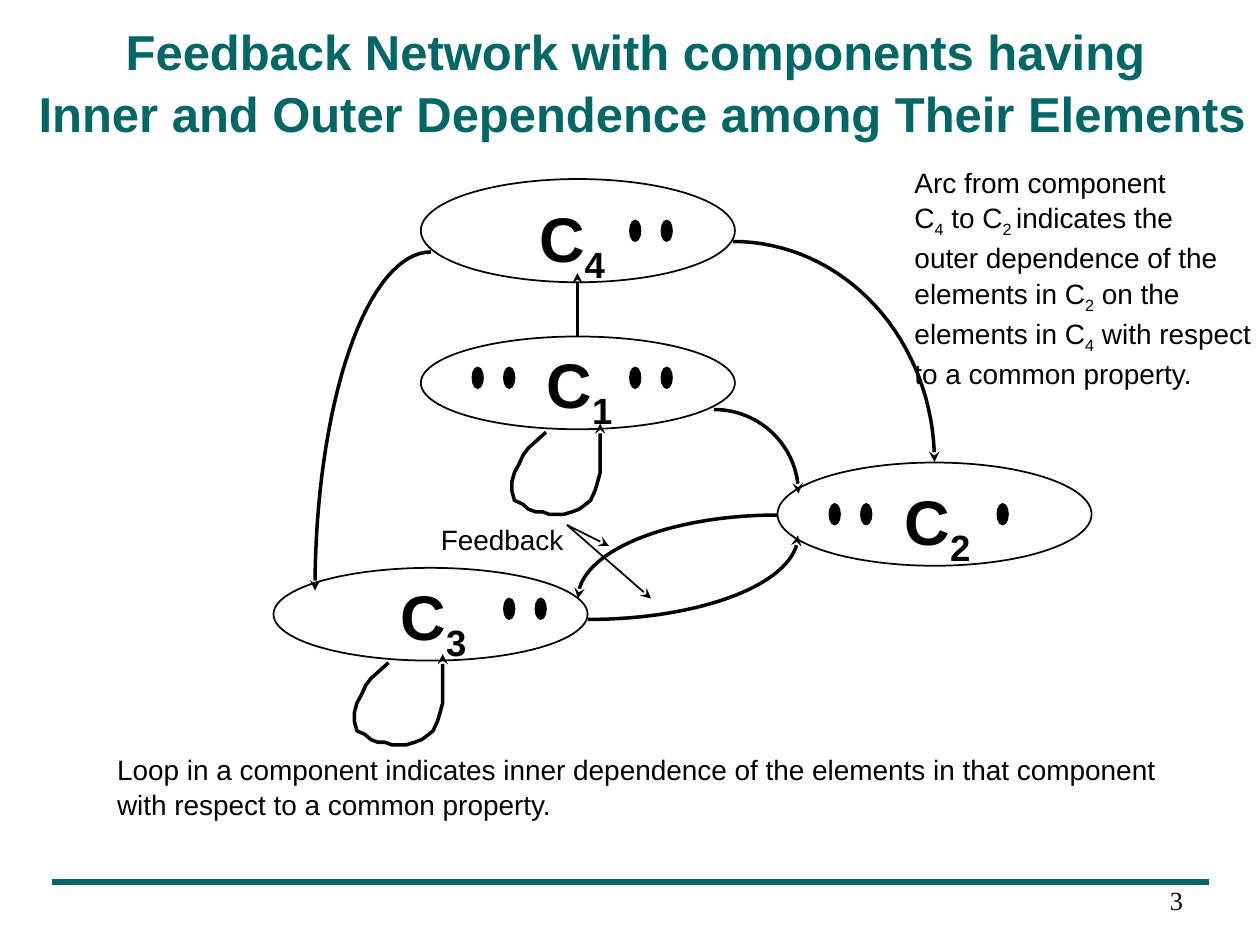
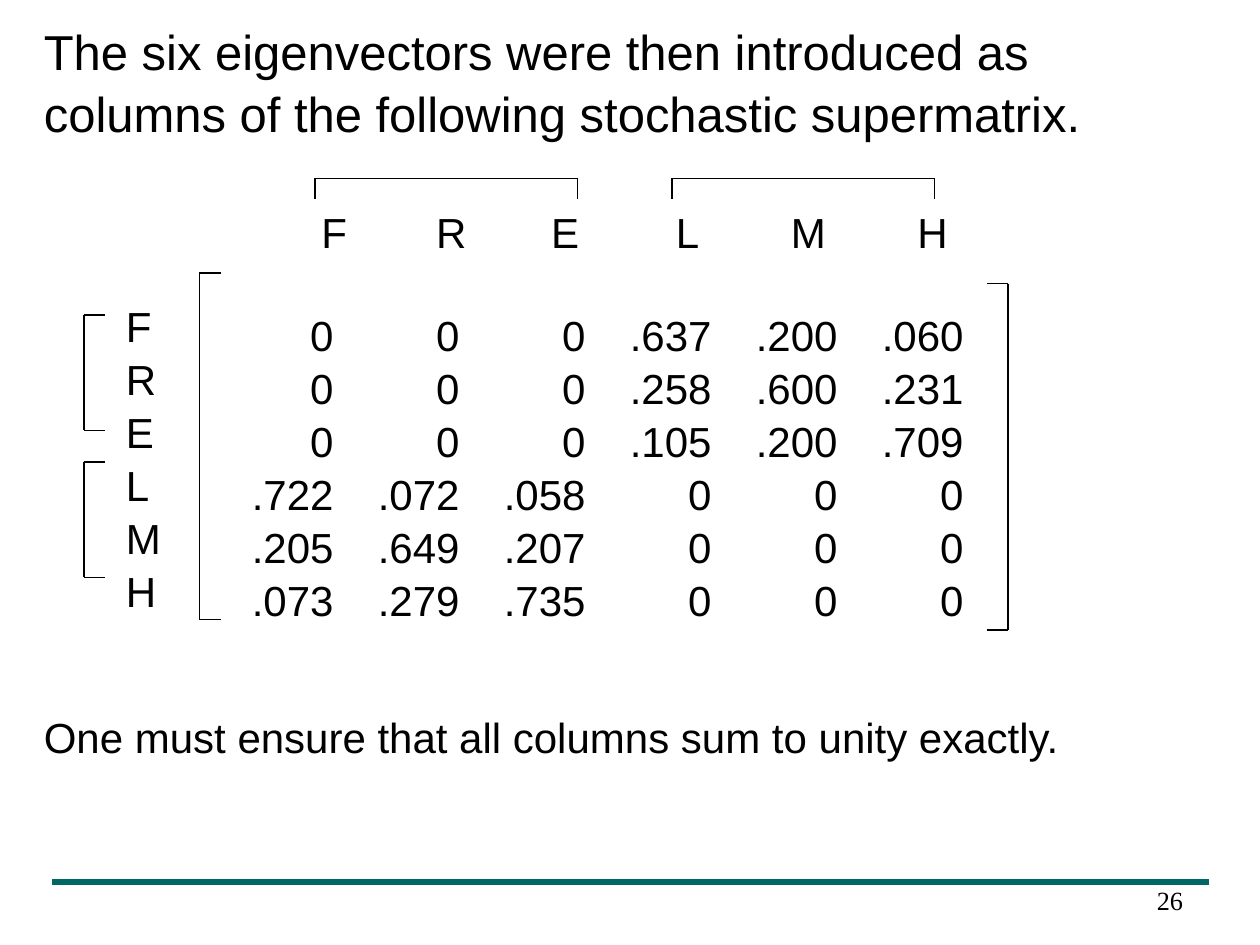
import math
from dataclasses import dataclass
from lxml import etree
from pptx import Presentation
from pptx.dml.color import RGBColor
from pptx.enum import shapes, text
from pptx.oxml import ns
from pptx.util import Pt


@dataclass(frozen=True)
class Theme:
    teal: RGBColor = RGBColor(0x00, 0x66, 0x66)
    black: RGBColor = RGBColor(0x00, 0x00, 0x00)
    font: str = "Arial"
    number_font: str = "Times New Roman"
    title: int = 28
    component: int = 36
    matrix: int = 24
    note: int = 16
    number: int = 15
    leading: float = 1.05
    thin: int = 1
    thick: int = 2
    rule: int = 4


theme = Theme()


def style_line(item, width, color=theme.black, arrow=False):
    item.line.color.rgb = color
    item.line.width = Pt(width)
    properties = item._element.spPr
    if arrow:
        outline = properties.find(ns.qn("a:ln"))
        etree.SubElement(outline, ns.qn("a:tailEnd"), type="stealth")
    etree.SubElement(properties, ns.qn("a:effectLst"))


def write_text(page, frame, lines, size, color=theme.black, font=theme.font,
               bold=False, wrap=False, align=text.PP_ALIGN.LEFT):
    box = page.shapes.add_textbox(*map(Pt, frame))
    box.text_frame.word_wrap = wrap
    for index, line in enumerate(lines):
        para = box.text_frame.paragraphs[0] if index == 0 else box.text_frame.add_paragraph()
        para.alignment = align
        para.line_spacing = theme.leading
        for position, piece in enumerate(line.split("|")):
            if not piece:
                continue
            span = para.add_run()
            span.text = piece
            span.font.name = font
            span.font.size = Pt(size)
            span.font.bold = bold
            span.font.color.rgb = color
            if position % 2:
                span._r.get_or_add_rPr().set("baseline", "-25000")
    return box


deck = Presentation()
deck.slide_width, deck.slide_height = Pt(720), Pt(540)

pages = []
for number in ("3", "26"):
    page = deck.slides.add_slide(deck.slide_layouts[6])
    rule = page.shapes.add_connector(
        shapes.MSO_CONNECTOR.STRAIGHT, Pt(30), Pt(504), Pt(691), Pt(504))
    style_line(rule, theme.rule, theme.teal)
    number_box = write_text(page, (517.5, 469.5, 166.5, 70.5), [number], theme.number,
                            font=theme.number_font, wrap=True, align=text.PP_ALIGN.RIGHT)
    number_box.text_frame.vertical_anchor = text.MSO_ANCHOR.MIDDLE
    number_box.text_frame.margin_top = Pt(22)
    number_box.text_frame.margin_right = Pt(8)
    pages.append(page)
network, supermatrix = pages

write_text(network, (15, 7.2, 704, 75),
           ["Feedback Network with components having ",
            "Inner and Outer Dependence among Their Elements"],
           theme.title, theme.teal, bold=True, align=text.PP_ALIGN.CENTER)

components = [
    ("C|4", (240.5, 102.3, 179.5, 59), (301, 108), (360, 378), 126),
    ("C|1", (240.5, 192.3, 179.5, 53), (305.3, 191.5), (270, 288, 360, 378), 210),
    ("C|2", (444.3, 264.3, 179.5, 59), (509.8, 270), (474, 492, 570), 288),
    ("C|3", (156.3, 324.5, 179.5, 53), (221.8, 324), (288, 306), 342),
]
for label, outline, corner, dot_lefts, dot_top in components:
    oval = network.shapes.add_shape(shapes.MSO_SHAPE.OVAL, *map(Pt, outline))
    oval.fill.background()
    style_line(oval, theme.thin)
    write_text(network, (*corner, 52, 56), [label], theme.component, bold=True)
    for left in dot_lefts:
        dot = network.shapes.add_shape(
            shapes.MSO_SHAPE.OVAL, Pt(left), Pt(dot_top), Pt(6), Pt(11.75))
        dot.fill.solid()
        dot.fill.fore_color.rgb = theme.black
        style_line(dot, theme.thin)

loop_outline = [
    (19.5, 5), (14, 10), (9.5, 14), (6.5, 18), (4, 23.5), (1.5, 28), (0, 33.5), (0, 38.5),
    (1.5, 44), (6, 46), (9.5, 49), (13.5, 50.5), (17.5, 50.5), (21.5, 52), (29.5, 52),
    (34.5, 50.5), (38.5, 49), (42.5, 46), (45, 44), (47.5, 38.5), (49, 33.5), (50.5, 28),
    (50.5, 0),
]
curves = [[(left + x, top + y) for x, y in loop_outline]
          for left, top in ((292.5, 242), (202.5, 373.7))]

arcs = [
    ((408, 234), (456.3, 234), (456.3, 282)),
    ((419, 138), (534, 138), (534, 264)),
    ((246.3, 144), (180, 144), (180, 337.5)),
    ((444.3, 294.3), (330.3, 294.3), (330.3, 342)),
    ((336, 354), (456, 354), (456, 306)),
]
steps = 32
for start, corner, end in arcs:
    angles = [math.pi / 2 * step / steps for step in range(steps + 1)]
    curves.append([
        tuple(s + (c - s) * math.sin(angle) + (e - c) * (1 - math.cos(angle))
              for s, c, e in zip(start, corner, end))
        for angle in angles])

for curve in curves:
    points = [(Pt(x), Pt(y)) for x, y in curve]
    builder = network.shapes.build_freeform(*points[0], scale=1.0)
    builder.add_line_segments(points[1:], close=False)
    arrow = builder.convert_to_shape()
    arrow.fill.background()
    style_line(arrow, theme.thick, arrow=True)

straight_arrows = [
    ((330, 192), (330, 156), theme.thick),
    ((324, 300), (348, 312), theme.thin),
    ((324, 300), (372, 342), theme.thin),
]
for start, end, width in straight_arrows:
    arrow = network.shapes.add_connector(
        shapes.MSO_CONNECTOR.STRAIGHT, *map(Pt, start + end))
    style_line(arrow, width, arrow=True)

write_text(network, (244.8, 294, 85, 26.6), ["Feedback"], theme.note)
write_text(network, (59.8, 425.5, 608.4, 45.4),
           ["Loop in a component indicates inner dependence of the elements in that component",
            "with respect to a common property."], theme.note)
write_text(network, (515.5, 90, 206.6, 130.3),
           ["Arc from component",
            "C|4| to C|2 |indicates the",
            "outer dependence of the",
            "elements in C|2| on the",
            "elements in C|4| with respect",
            "to a common property."], theme.note)

write_text(supermatrix, (18, 7.2, 684, 75),
           ["The six eigenvectors were then introduced as columns of the following "
            "stochastic supermatrix."], theme.title, wrap=True)
write_text(supermatrix, (18, 401.8, 684, 36),
           ["One must ensure that all columns sum to unity exactly."], theme.matrix, wrap=True)

names = "FRELMH"
write_text(supermatrix, (64.8, 167, 34.6, 180), names, theme.matrix)
rows = [
    names,
    ("0", "0", "0", ".637", ".200", ".060"),
    ("0", "0", "0", ".258", ".600", ".231"),
    ("0", "0", "0", ".105", ".200", ".709"),
    (".722", ".072", ".058", "0", "0", "0"),
    (".205", ".649", ".207", "0", "0", "0"),
    (".073", ".279", ".735", "0", "0", "0"),
]
matrix = write_text(supermatrix, (136.8, 113, 421.2, 237.6),
                    ["\t" + "\t".join(row) for row in rows], theme.matrix, wrap=True)
name_stops = (47, 114, 179, 249, 318, 389)
value_stops = [46.7 + 72 * column for column in range(len(names))]
for index, para in enumerate(matrix.text_frame.paragraphs):
    stops, kind = (value_stops, "r") if index else (name_stops, "ctr")
    if index == 1:
        para.space_before = Pt(28.8)
    tab_list = etree.SubElement(para._p.get_or_add_pPr(), ns.qn("a:tabLst"))
    for stop in stops:
        etree.SubElement(tab_list, ns.qn("a:tab"), pos=str(int(Pt(stop))), algn=kind)

brackets = [
    ((114, 156), (114, 354), (12, 0)),
    ((576, 162), (576, 360), (-12, 0)),
    ((180, 102), (330, 102), (0, 12)),
    ((384, 102), (534, 102), (0, 12)),
    ((48, 180), (48, 246), (12, 0)),
    ((48, 264), (48, 330), (12, 0)),
]
for first, last, (across, down) in brackets:
    ticks = [(end, (end[0] + across, end[1] + down)) for end in (first, last)]
    for start, end in [(first, last), *ticks]:
        stroke = supermatrix.shapes.add_connector(
            shapes.MSO_CONNECTOR.STRAIGHT, *map(Pt, start + end))
        style_line(stroke, theme.thin)

deck.save("out.pptx")
